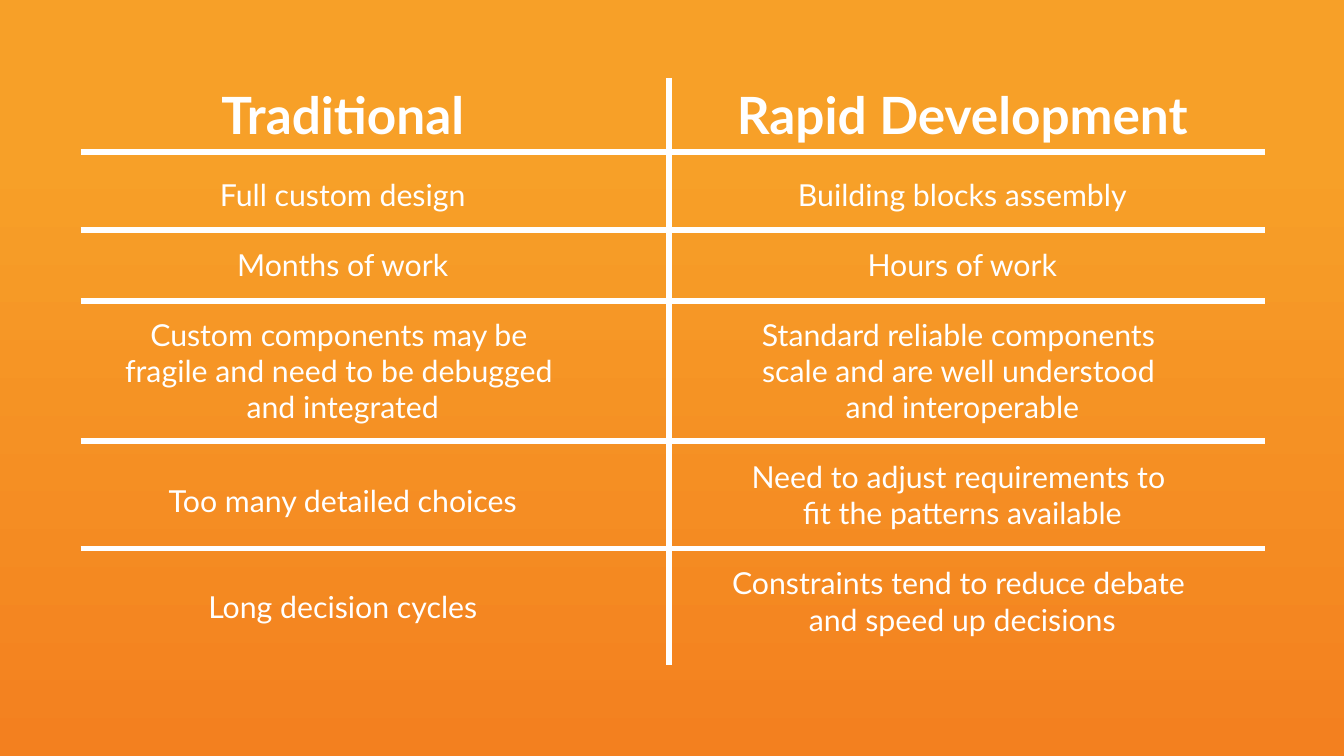
from collections import namedtuple

from lxml.etree import SubElement
from pptx import Presentation
from pptx.dml.color import RGBColor
from pptx.enum.shapes import MSO_CONNECTOR
from pptx.enum.text import MSO_ANCHOR, MSO_AUTO_SIZE, PP_ALIGN
from pptx.oxml.ns import qn
from pptx.util import Inches, Pt

WHITE = RGBColor(0xFF, 0xFF, 0xFF)
AMBER = RGBColor(0xF7, 0xA0, 0x28)
ORANGE = RGBColor(0xF3, 0x80, 0x1F)

SLIDE_WIDTH = Inches(10)
SLIDE_HEIGHT = SLIDE_WIDTH * 9 // 16
CELL = Inches(0.1)
Box = namedtuple("Box", "left top width height")
Column = namedtuple("Column", "title title_width entries")
Entry = namedtuple("Entry", "text format", defaults=({"space_before": Pt(18)},))

COMPARISON = Box(6, 5.8, 88.1, 43.7)
COLUMN_WIDTH = 43.6
COLUMN_LEFTS = (-2.3, 43.8)
SPINE_COLUMN = 43.8
RULE_ROWS = (5.5, 11.3, 16.6, 27, 35)

TITLE_FONT = {"name": "Lato", "size": Pt(27.5), "bold": True}
ENTRY_FONT = {"name": "Lato", "size": Pt(16.2), "bold": False}
TITLE_FRAME = {
    "word_wrap": False,
    "auto_size": MSO_AUTO_SIZE.SHAPE_TO_FIT_TEXT,
    "vertical_anchor": MSO_ANCHOR.TOP,
}
ENTRY_FRAME = {
    "word_wrap": True,
    "vertical_anchor": MSO_ANCHOR.TOP,
    "margin_left": Inches(0.06),
    "margin_right": Inches(0.06),
    "margin_top": Inches(0.03),
    "margin_bottom": Inches(0.03),
}

COLUMNS = (
    Column("Traditional", 22.2, (
        Entry("Full custom design", {}),
        Entry("Months of work"),
        Entry("Custom components may be \nfragile and need to be debugged \nand integrated"),
        Entry("Too many detailed choices", {"space_before": Pt(21), "line_spacing": 1.5}),
        Entry("Long decision cycles", {"space_before": Pt(18), "line_spacing": 2.0}),
    )),
    Column("Rapid Development", 37.9, (
        Entry("Building blocks assembly", {}),
        Entry("Hours of work"),
        Entry("Standard reliable components \nscale and are well understood \nand interoperable"),
        Entry("Need to adjust requirements to \nfit the patterns available"),
        Entry("Constraints tend to reduce debate \nand speed up decisions"),
    )),
)


def apply(target, values):
    """Set each attribute of the target from a dict."""
    for name, value in values.items():
        setattr(target, name, value)


def cells(*lengths):
    """Convert grid cells to slide lengths."""
    return [round(length * CELL) for length in lengths]


def add_text(slide, box, entries, frame_format, font_format):
    """Fill a box with centred white paragraphs."""
    text_frame = slide.shapes.add_textbox(*cells(*box)).text_frame
    apply(text_frame, frame_format)
    for index, entry in enumerate(entries):
        paragraph = text_frame.add_paragraph() if index else text_frame.paragraphs[0]
        paragraph.text = entry.text
        paragraph.alignment = PP_ALIGN.CENTER
        apply(paragraph, entry.format)
        for run in paragraph.runs:
            apply(run.font, font_format)
            run.font.color.rgb = WHITE


def add_rule(slide, start, end):
    """Draw a white rule between two grid points."""
    rule = slide.shapes.add_connector(MSO_CONNECTOR.STRAIGHT, *cells(*start, *end))
    rule.line.color.rgb = WHITE
    rule.line.width = Pt(3)
    SubElement(rule._element.spPr, qn("a:effectLst"))


def add_column(slide, box, column):
    """Place a centred title above the entries of one column."""
    title_left = box.left + (box.width - column.title_width) / 2
    title_box = Box(title_left, box.top - 0.1, column.title_width, 5.6)
    add_text(slide, title_box, [Entry(column.title, {})], TITLE_FRAME, TITLE_FONT)
    entry_box = Box(box.left, box.top + 7, box.width, 34.8)
    add_text(slide, entry_box, column.entries, ENTRY_FRAME, ENTRY_FONT)


def add_comparison(slide, box):
    """Lay out both columns and the rules that divide them."""
    for left, column in zip(COLUMN_LEFTS, COLUMNS):
        column_box = Box(box.left + left, box.top, COLUMN_WIDTH, box.height)
        add_column(slide, column_box, column)
    for row in RULE_ROWS:
        height = box.top + row
        add_rule(slide, (box.left, height), (box.left + box.width, height))
    spine = box.left + SPINE_COLUMN
    add_rule(slide, (spine, box.top), (spine, box.top + box.height))


def add_background(slide):
    """Shade the slide from amber down to orange."""
    fill = slide.background.fill
    fill.gradient()
    fill.gradient_angle = 270
    for stop, position, color in zip(fill.gradient_stops, (0.2, 1), (AMBER, ORANGE)):
        stop.position = position
        stop.color.rgb = color


def main():
    """Build and save the presentation."""
    presentation = Presentation()
    presentation.slide_width = SLIDE_WIDTH
    presentation.slide_height = SLIDE_HEIGHT
    slide = presentation.slides.add_slide(presentation.slide_layouts[6])
    add_background(slide)
    add_comparison(slide, COMPARISON)
    presentation.save("out.pptx")


if __name__ == "__main__":
    main()
